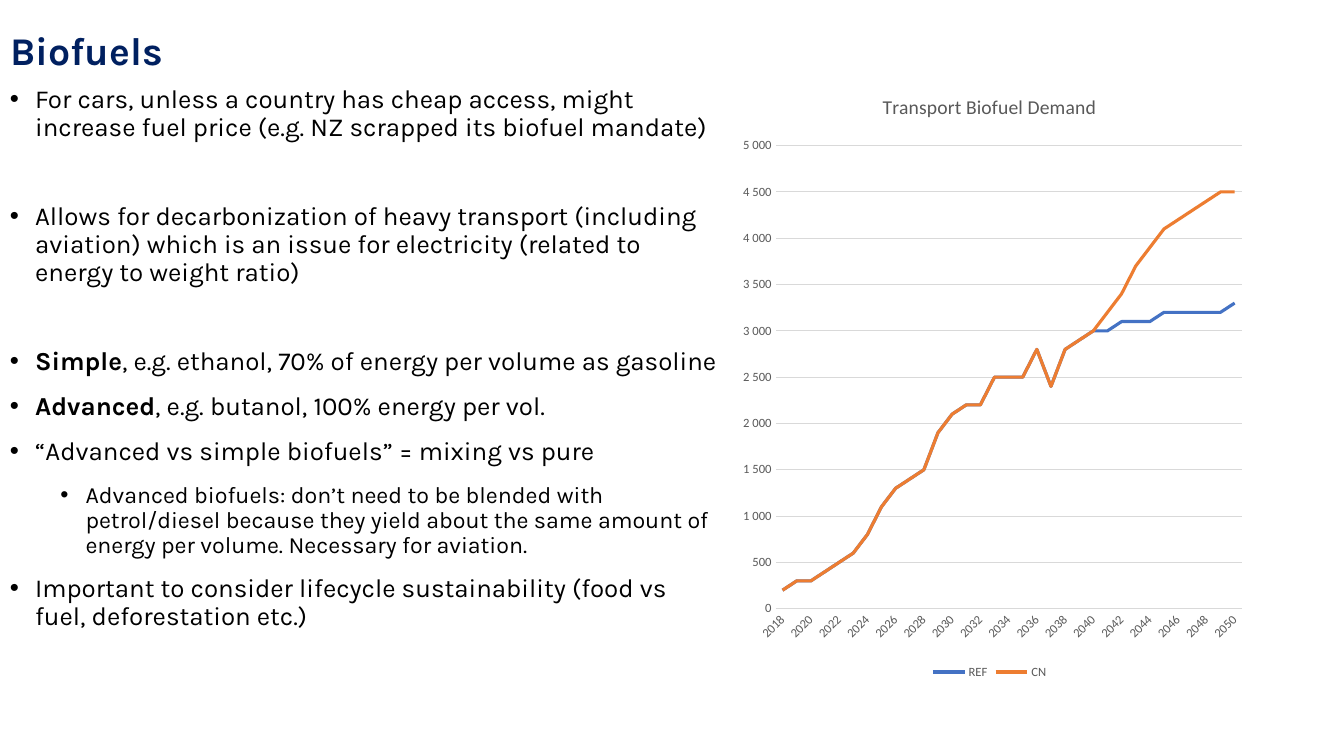
from lxml.etree import SubElement
from pptx import Presentation
from pptx.chart.data import CategoryChartData
from pptx.dml.color import RGBColor
from pptx.enum.chart import XL_CHART_TYPE, XL_LEGEND_POSITION, XL_TICK_MARK
from pptx.enum.text import MSO_ANCHOR, PP_ALIGN
from pptx.oxml.ns import qn
from pptx.util import Inches, Pt

NAVY = RGBColor(0x00, 0x20, 0x60)
BLACK = RGBColor(0x00, 0x00, 0x00)
GRAY = RGBColor(0x59, 0x59, 0x59)
PALE = RGBColor(0xD9, 0xD9, 0xD9)
BLUE = RGBColor(0x44, 0x72, 0xC4)
ORANGE = RGBColor(0xED, 0x7D, 0x31)


def style(font, name, size, color, bold=False):
    font.name = name
    font.size = Pt(size)
    font.color.rgb = color
    font.bold = bold


deck = Presentation()
deck.slide_width = Inches(13.33)
deck.slide_height = Inches(7.5)
slide = deck.slides.add_slide(deck.slide_layouts[5])

title = slide.shapes.title
title.left, title.top = Inches(0), Inches(-0.67)
title.width, title.height = Inches(11.5), Inches(1.45)
frame = title.text_frame
frame.text = "Biofuels"
frame.vertical_anchor = MSO_ANCHOR.BOTTOM
head = frame.paragraphs[0]
head.alignment = PP_ALIGN.LEFT
head.line_spacing = 0.9
style(head.runs[0].font, "Karla", 28, NAVY, True)

# level, space before, bold lead, text
points = [
    (0, 0, "", "For cars, unless a country has cheap access, might increase fuel price "
     "(e.g. NZ scrapped its biofuel mandate)"),
    (0, 37.5, "", "Allows for decarbonization of heavy transport (including aviation) "
     "which is an issue for electricity (related to energy to weight ratio)"),
    (0, 37.5, "Simple", ", e.g. ethanol, 70% of energy per volume as gasoline"),
    (0, 6, "Advanced", ", e.g. butanol, 100% energy per vol."),
    (0, 6, "", "“Advanced vs simple biofuels” = mixing vs pure"),
    (1, 6, "", "Advanced biofuels: don’t need to be blended with petrol/diesel because they "
     "yield about the same amount of energy per volume. Necessary for aviation."),
    (0, 6, "", "Important to consider lifecycle sustainability "
     "(food vs fuel, deforestation etc.)"),
]
body = slide.shapes.add_textbox(Inches(0), Inches(0.81), Inches(7.21), Inches(6.28))
frame = body.text_frame
frame.word_wrap = True
for i, (level, gap, lead, text) in enumerate(points):
    para = frame.paragraphs[0] if i == 0 else frame.add_paragraph()
    para.level = level
    para.line_spacing = 0.9
    para.space_before = Pt(gap)
    para.space_after = Pt(6)
    props = para._p.get_or_add_pPr()
    props.set("marL", str(Inches(0.25 + 0.5 * level)))
    props.set("indent", str(Inches(-0.25)))
    SubElement(props, qn("a:buFont")).set("typeface", "Arial")
    SubElement(props, qn("a:buChar")).set("char", "•")
    for part, bold in ((lead, True), (text, False)):
        if part:
            run = para.add_run()
            run.text = part
            style(run.font, "Karla", 16.6 if level else 18.5, BLACK, bold)

start = [200, 300, 300, 400, 500, 600, 800, 1100, 1300, 1400, 1500, 1900,
         2100, 2200, 2200, 2500, 2500, 2500, 2800, 2400, 2800, 2900, 3000]
ref = [3000, 3100, 3100, 3100, 3200, 3200, 3200, 3200, 3200, 3300]
cn = [3200, 3400, 3700, 3900, 4100, 4200, 4300, 4400, 4500, 4500]
data = CategoryChartData()
data.categories = [str(year) for year in range(2018, 2051)]
data.add_series("REF", start + ref)
data.add_series("CN", start + cn)
chart = slide.shapes.add_chart(XL_CHART_TYPE.LINE, Inches(7.21), Inches(0.72),
                               Inches(5.21), Inches(6.06), data).chart
style(chart.font, "Calibri", 10, BLACK)
chart.has_title = True
label = chart.chart_title.text_frame
label.text = "Transport Biofuel Demand"
style(label.paragraphs[0].runs[0].font, "Calibri", 14, GRAY)
chart.has_legend = True
chart.legend.position = XL_LEGEND_POSITION.BOTTOM
chart.legend.include_in_layout = False
style(chart.legend.font, "Calibri", 9, GRAY)

years, amounts = chart.category_axis, chart.value_axis
for axis in (years, amounts):
    axis.major_tick_mark = XL_TICK_MARK.NONE
    axis.minor_tick_mark = XL_TICK_MARK.NONE
    style(axis.tick_labels.font, "Calibri", 9, GRAY)
years._element.txPr.bodyPr.set("rot", "-2700000")
amounts.minimum_scale = 0
amounts.maximum_scale = 5000
amounts.major_unit = 500
amounts.tick_labels.number_format = r"#\ ###\ ###\ ##0"
amounts.tick_labels.number_format_is_linked = False
amounts.format.line.fill.background()
for rule in (years.format.line, amounts.major_gridlines.format.line):
    rule.color.rgb = PALE
    rule.width = Pt(0.75)

plot = chart.plots[0]
plot.vary_by_categories = False
for series, color in zip(plot.series, (BLUE, ORANGE)):
    series.smooth = False
    series.format.line.color.rgb = color
    series.format.line.width = Pt(2.25)

deck.save("out.pptx")
